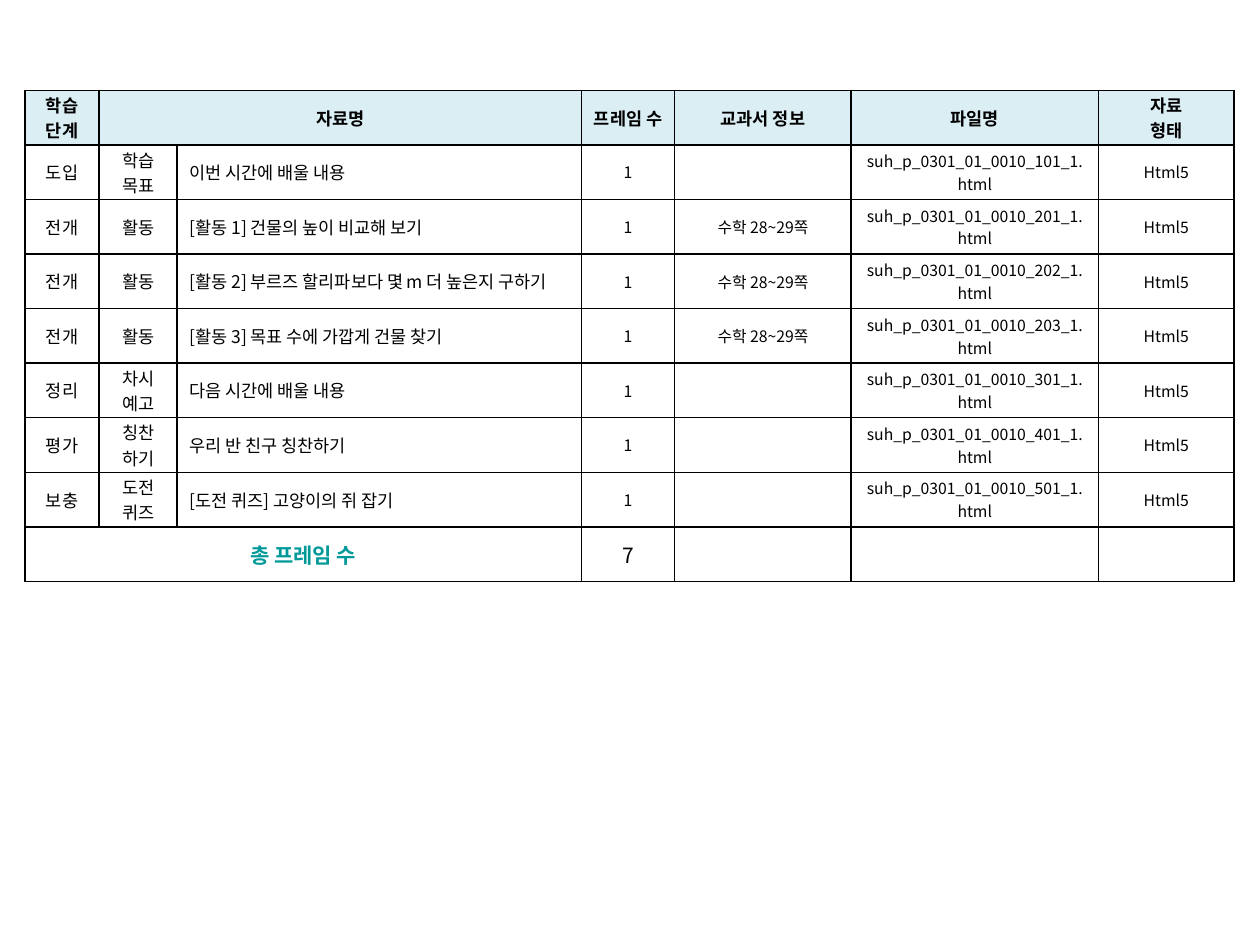
"""Build a slide with the lesson's material list as one table."""
from lxml import etree
from pptx import Presentation
from pptx.dml.color import RGBColor
from pptx.enum import text as t
from pptx.oxml import ns
from pptx.util import Cm, Pt

FONT = "Noto Sans CJK KR"
BLACK, TEAL, PALE_BLUE = "000000", "009999", "DBEEF4"
COLUMN_WIDTHS = [1.5, 1.57, 8.15, 1.88, 3.56, 4.98, 2.74]
ROW_HEIGHT = 1.1
HEADER = ["학습 단계", "자료명", "", "프레임 수", "교과서 정보", "파일명", "자료\n형태"]
PAGES = "수학 28~29쪽"
LESSONS = [
    ("도입", "학습 목표", "이번 시간에 배울 내용", "", 101),
    ("전개", "활동", "[활동 1] 건물의 높이 비교해 보기", PAGES, 201),
    ("전개", "활동", "[활동 2] 부르즈 할리파보다 몇 m 더 높은지 구하기", PAGES, 202),
    ("전개", "활동", "[활동 3] 목표 수에 가깝게 건물 찾기", PAGES, 203),
    ("정리", "차시 예고", "다음 시간에 배울 내용", "", 301),
    ("평가", "칭찬\n하기", "우리 반 친구 칭찬하기", "", 401),
    ("보충", "도전\n퀴즈", "[도전 퀴즈] 고양이의 쥐 잡기", "", 501),
]
TOTAL = ["총 프레임 수", "", "", str(len(LESSONS)), "", "", ""]


def color(value):
    return RGBColor.from_string(value)


def add_borders(cell):
    properties = cell._tc.get_or_add_tcPr()
    for side in ("a:lnL", "a:lnR", "a:lnT", "a:lnB"):
        line = etree.SubElement(properties, ns.qn(side), w=str(Pt(1)))
        fill = etree.SubElement(line, ns.qn("a:solidFill"))
        etree.SubElement(fill, ns.qn("a:srgbClr"), val=BLACK)


def write(cell, content, size=10, bold=False, ink=BLACK, align=t.PP_ALIGN.CENTER, fill=None):
    add_borders(cell)
    if fill:
        cell.fill.solid()
        cell.fill.fore_color.rgb = color(fill)
    else:
        cell.fill.background()
    cell.vertical_anchor = t.MSO_ANCHOR.MIDDLE
    cell.margin_left = cell.margin_right = Cm(0.25)
    cell.margin_top = cell.margin_bottom = Cm(0.03)
    if not content:
        return
    cell.text_frame.text = content
    for paragraph in cell.text_frame.paragraphs:
        paragraph.alignment = align
        for run in paragraph.runs:
            font = run.font
            font.size, font.bold, font.name = Pt(size), bold, FONT
            font.color.rgb = color(ink)
            etree.SubElement(run._r.get_or_add_rPr(), ns.qn("a:ea"), typeface=FONT)


def main():
    presentation = Presentation()
    presentation.slide_width, presentation.slide_height = Cm(25.4), Cm(19.05)
    slide = presentation.slides.add_slide(presentation.slide_layouts[6])

    row_count = len(LESSONS) + 2
    table = slide.shapes.add_table(
        row_count, len(COLUMN_WIDTHS), Cm(0.5), Cm(1.82),
        Cm(sum(COLUMN_WIDTHS)), Cm(ROW_HEIGHT * row_count)).table
    table.first_row = table.horz_banding = False
    for column, width in zip(table.columns, COLUMN_WIDTHS):
        column.width = Cm(width)
    for row in table.rows:
        row.height = Cm(ROW_HEIGHT)

    for column, content in enumerate(HEADER):
        write(table.cell(0, column), content, bold=True, fill=PALE_BLUE)
    for row, (stage, activity, title, pages, number) in enumerate(LESSONS, 1):
        file_name = f"suh_p_0301_01_0010_{number}_1.html"
        for column, content in enumerate([stage, activity, title, "1", pages, file_name, "Html5"]):
            write(table.cell(row, column), content, size=10 if column < 3 else 9,
                  align=t.PP_ALIGN.LEFT if column == 2 else t.PP_ALIGN.CENTER)
    last = row_count - 1
    for column, content in enumerate(TOTAL):
        write(table.cell(last, column), content, size=12, bold=column == 0,
              ink=TEAL if column == 0 else BLACK)

    table.cell(0, 1).merge(table.cell(0, 2))
    table.cell(last, 0).merge(table.cell(last, 2))
    presentation.save("out.pptx")


if __name__ == "__main__":
    main()
